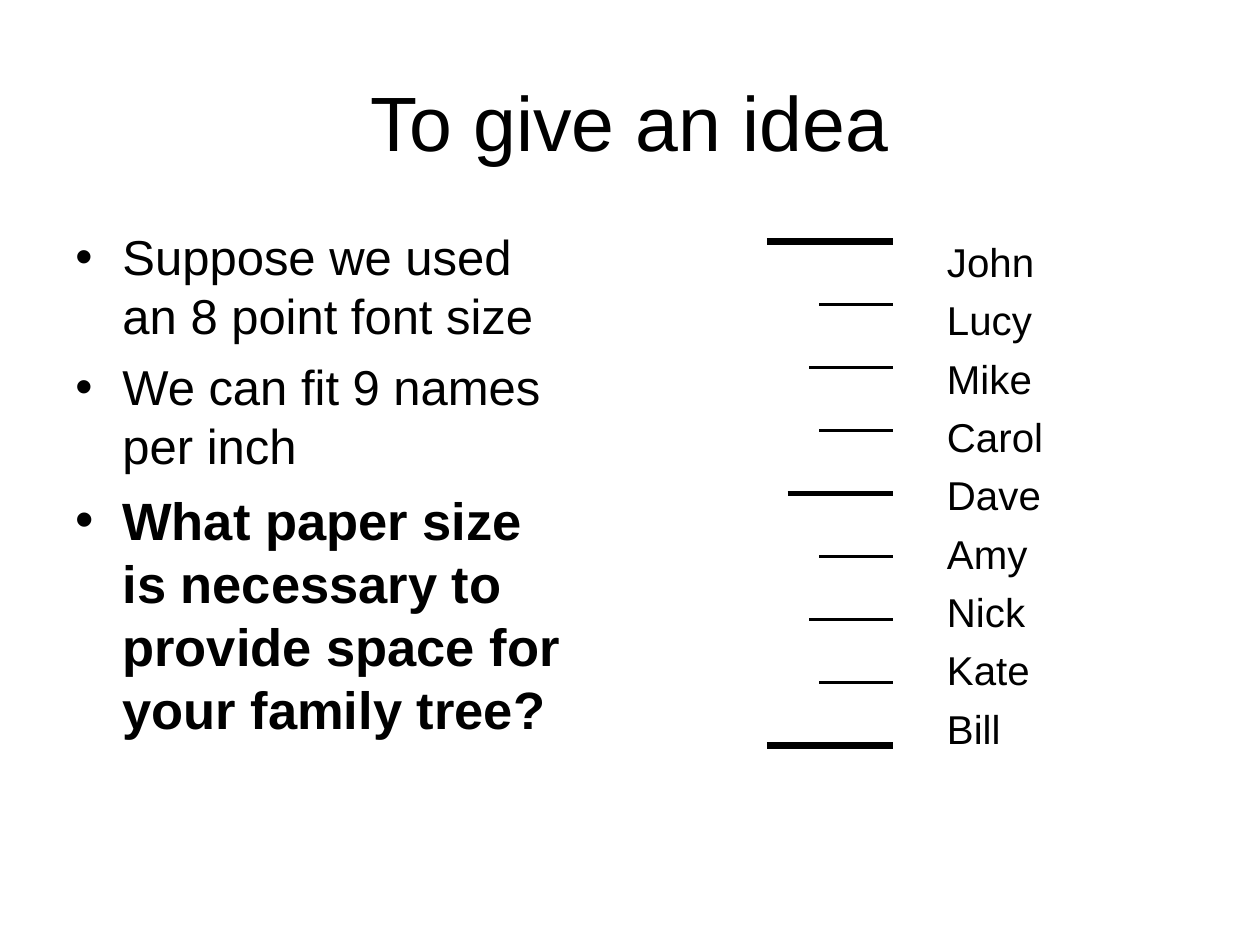
from lxml.etree import SubElement
from pptx import Presentation
from pptx.dml.color import RGBColor
from pptx.enum.shapes import MSO_CONNECTOR
from pptx.enum.text import MSO_ANCHOR, PP_ALIGN
from pptx.oxml.ns import qn
from pptx.util import Cm, Pt

BLACK = RGBColor(0, 0, 0)
WHITE = RGBColor(255, 255, 255)
FONT = "Arial"
HANG = Cm(0.95)

NAMES = ["John", "Lucy", "Mike", "Carol", "Dave", "Amy", "Nick", "Kate", "Bill"]
POINTS = [
    ("Suppose we used an 8 point font size", 28, False),
    ("We can fit 9 names per inch", 28, False),
    ("What paper size is necessary to provide space for your family tree?", 30, True),
]
# Tick length in cm and line width in points, by fraction of an inch
WHOLE, HALF, QUARTER, EIGHTH = (2.54, 4), (2.12, 3), (1.69, 2), (1.48, 1.5)
TICKS = [WHOLE, EIGHTH, QUARTER, EIGHTH, HALF, EIGHTH, QUARTER, EIGHTH, WHOLE]


def add_frame(slide, left, top, width, height):
    box = slide.shapes.add_textbox(Cm(left), Cm(top), Cm(width), Cm(height))
    box.text_frame.word_wrap = True
    return box.text_frame


def set_font(para, size, bold=False):
    font = para.font
    font.name, font.size, font.bold = FONT, Pt(size), bold
    font.color.rgb = BLACK


def hang(para, bullet=None):
    """Give the paragraph a hanging indent, and a bullet if one is named."""
    props = para._p.get_or_add_pPr()
    props.set("marL", str(HANG))
    props.set("indent", str(-HANG))
    if bullet:
        SubElement(props, qn("a:buFont"), typeface=FONT)
        SubElement(props, qn("a:buChar"), char=bullet)
    else:
        SubElement(props, qn("a:buNone"))


def add_list(slide, box, items, gap, bullet=None):
    """Write (text, size, bold) items; gap is space before as a share of size."""
    frame = add_frame(slide, *box)
    for i, (text, size, bold) in enumerate(items):
        para = frame.add_paragraph() if i else frame.paragraphs[0]
        para.text = text
        hang(para, bullet)
        if i:
            para.space_before = Pt(size * gap)
        set_font(para, size, bold)


def add_title(slide, box, text):
    frame = add_frame(slide, *box)
    frame.vertical_anchor = MSO_ANCHOR.MIDDLE
    para = frame.paragraphs[0]
    para.text = text
    para.alignment = PP_ALIGN.CENTER
    set_font(para, 44)


def add_ruler(slide, left, top, width, height):
    """Draw evenly spaced ticks that end at the right side of the box."""
    right = left + width
    step = height / (len(TICKS) - 1)
    for i, (length, weight) in enumerate(TICKS):
        y = Cm(top + i * step)
        tick = slide.shapes.add_connector(
            MSO_CONNECTOR.STRAIGHT, Cm(right - length), y, Cm(right), y)
        tick.line.color.rgb = BLACK
        tick.line.width = Pt(weight)
        SubElement(tick._element.spPr, qn("a:effectLst"))


def main():
    deck = Presentation()
    deck.slide_width, deck.slide_height = Cm(25.4), Cm(19.05)
    slide = deck.slides.add_slide(deck.slide_layouts[6])
    slide.background.fill.solid()
    slide.background.fill.fore_color.rgb = WHITE

    add_title(slide, (1.27, 0.85, 22.86, 3.18), "To give an idea")
    add_list(slide, (1.27, 4.45, 10.37, 11.22), POINTS, 0.25, "•")
    add_list(slide, (18.84, 4.66, 4.24, 11), [(name, 23, False) for name in NAMES], 0.25)
    add_ruler(slide, 15.46, 4.87, 2.54, 10.16)
    deck.save("out.pptx")


if __name__ == "__main__":
    main()
